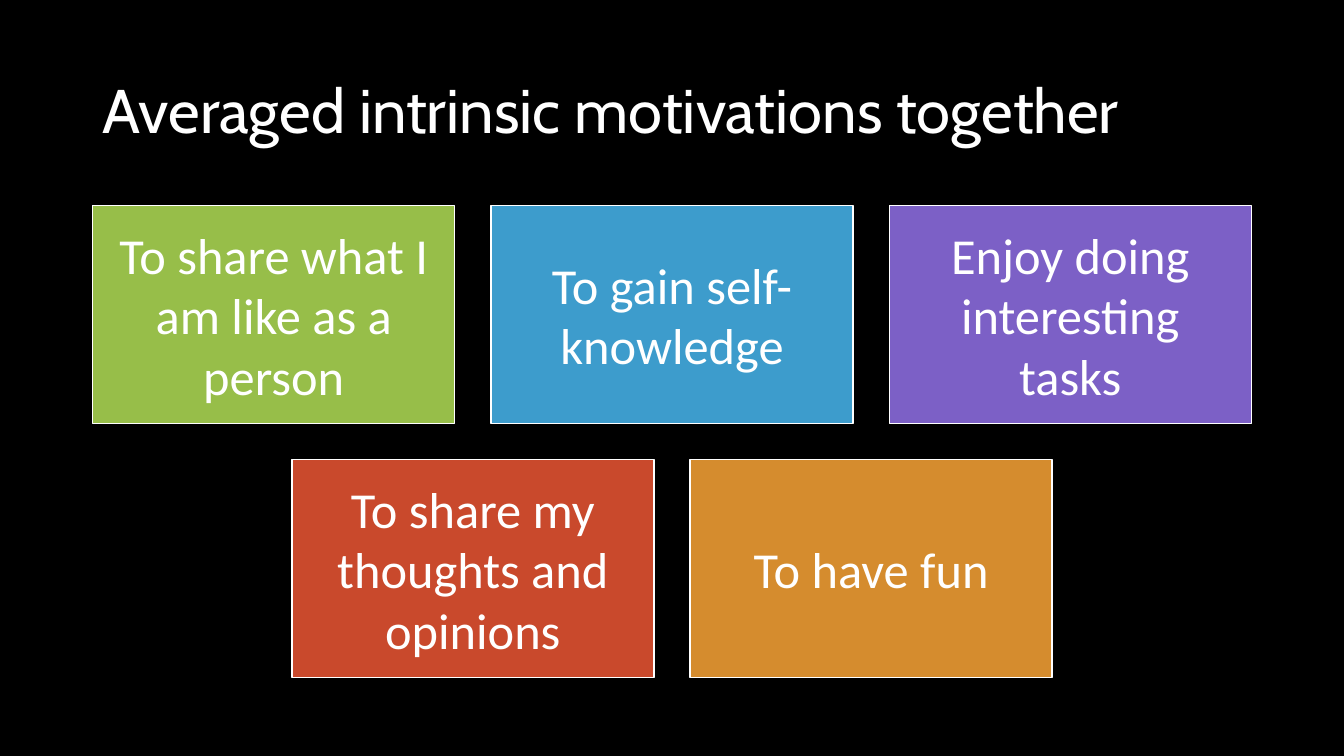
from pptx import Presentation
from pptx.dml.color import RGBColor
from pptx.enum.shapes import MSO_SHAPE
from pptx.enum.text import MSO_ANCHOR, PP_ALIGN
from pptx.util import Inches, Pt

RECTANGLE = MSO_SHAPE.RECTANGLE
MIDDLE = MSO_ANCHOR.MIDDLE
CENTER = PP_ALIGN.CENTER

SLIDE_WIDTH, SLIDE_HEIGHT = 13.33, 7.5
CARD_WIDTH, CARD_HEIGHT, GAP = 3.59, 2.16, 0.36
GRID_TOP = 2.04
PADDING = Inches(0.15)
WHITE = "FFFFFF"

MOTIVATION_ROWS = [
    [
        ("To share what I am like as a person", "97BE49"),
        ("To gain self-knowledge", "3D9CCC"),
        ("Enjoy doing interesting tasks", "7C60C6"),
    ],
    [
        ("To share my thoughts and opinions", "C9492C"),
        ("To have fun", "D58C2E"),
    ],
]


def color(hex_code):
    return RGBColor.from_string(hex_code)


def style_text(paragraph, font_name, size):
    paragraph.font.name = font_name
    paragraph.font.size = Pt(size)
    paragraph.font.color.rgb = color(WHITE)


# Slide with a black background
deck = Presentation()
deck.slide_width = Inches(SLIDE_WIDTH)
deck.slide_height = Inches(SLIDE_HEIGHT)
page = deck.slides.add_slide(deck.slide_layouts[5])
page.background.fill.solid()
page.background.fill.fore_color.rgb = color("000000")

# Title
title = page.shapes.title
title.left, title.top = Inches(0.92), Inches(0.4)
title.width, title.height = Inches(11.5), Inches(1.45)
title.text_frame.text = "Averaged intrinsic motivations together"
title.text_frame.vertical_anchor = MIDDLE
heading = title.text_frame.paragraphs[0]
heading.alignment = PP_ALIGN.LEFT
heading.line_spacing = 0.9
style_text(heading, "Cabin", 44)

# Motivation cards, each row centred on the slide
for row, motivations in enumerate(MOTIVATION_ROWS):
    count = len(motivations)
    row_width = count * CARD_WIDTH + (count - 1) * GAP
    row_left = (SLIDE_WIDTH - row_width) / 2
    top = GRID_TOP + row * (CARD_HEIGHT + GAP)
    for column, (label, fill) in enumerate(motivations):
        left = row_left + column * (CARD_WIDTH + GAP)
        card = page.shapes.add_shape(
            RECTANGLE, Inches(left), Inches(top), Inches(CARD_WIDTH), Inches(CARD_HEIGHT)
        )
        card.shadow.inherit = False
        card.fill.solid()
        card.fill.fore_color.rgb = color(fill)
        card.line.color.rgb = color(WHITE)
        card.line.width = Pt(1)

        frame = card.text_frame
        frame.word_wrap = True
        frame.vertical_anchor = MIDDLE
        frame.margin_left = frame.margin_right = PADDING
        frame.margin_top = frame.margin_bottom = PADDING
        frame.text = label
        para = frame.paragraphs[0]
        para.alignment = CENTER
        style_text(para, "Calibri", 36)

deck.save("out.pptx")
